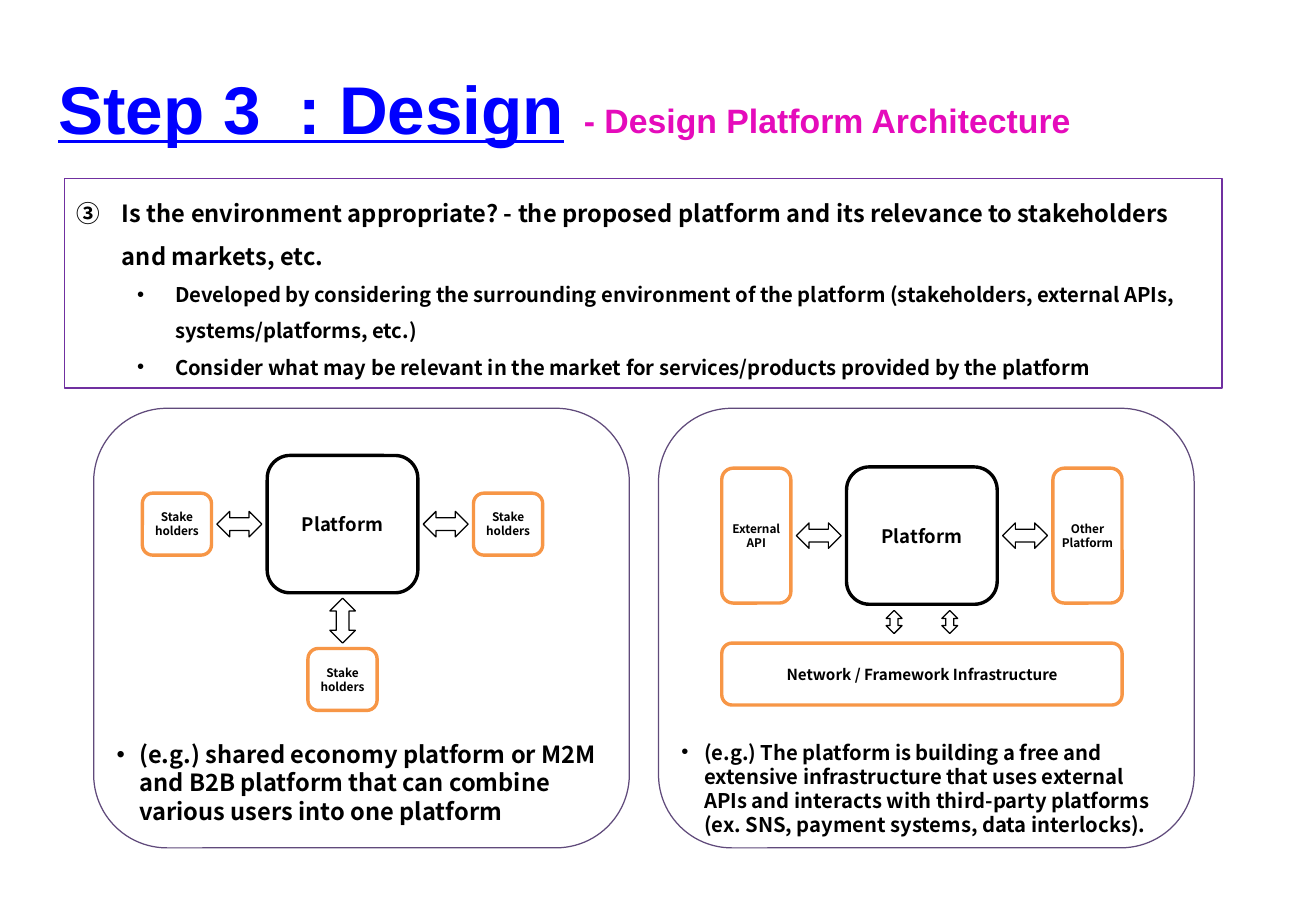
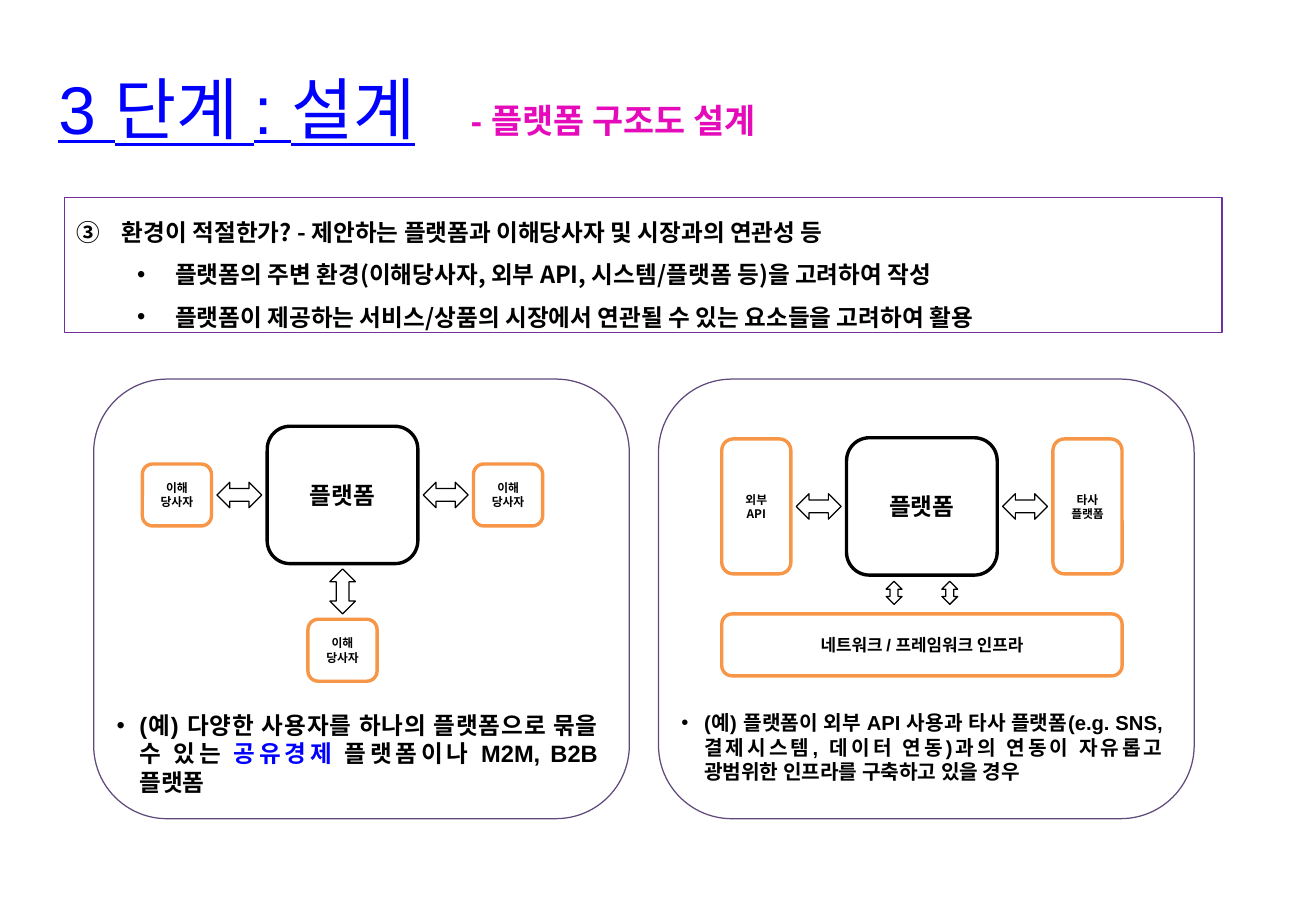
from lxml import etree
from pptx import Presentation
from pptx.dml.color import RGBColor
from pptx.enum.shapes import MSO_SHAPE
from pptx.enum.text import MSO_ANCHOR, MSO_AUTO_SIZE, PP_ALIGN
from pptx.oxml.ns import qn
from pptx.util import Pt

RECTANGLE, ROUNDED = MSO_SHAPE.RECTANGLE, MSO_SHAPE.ROUNDED_RECTANGLE
DOUBLE_ARROW = MSO_SHAPE.LEFT_RIGHT_ARROW
LEFT, CENTER, JUSTIFY = PP_ALIGN.LEFT, PP_ALIGN.CENTER, PP_ALIGN.JUSTIFY
TOP, MIDDLE = MSO_ANCHOR.TOP, MSO_ANCHOR.MIDDLE

ARIAL, NOTO = "Arial", "Noto Sans CJK KR"
BLACK, WHITE, BLUE, PINK = "000000", "FFFFFF", "0000FF", "E50BBB"
PURPLE, VIOLET, ORANGE = "7030A0", "604A7B", "F79646"

SLIDES = [
    {
        "title": "Step 3  : Design", "title_bold": True,
        "subtitle": "- Design Platform Architecture", "subtitle_left": 339,
        "question": "Is the environment appropriate? - the proposed platform and its "
                    "relevance to stakeholders and markets, etc.",
        "points": [
            "Developed by considering the surrounding environment of the platform "
            "(stakeholders, external APIs, systems/platforms, etc.)",
            "Consider what may be relevant in the market for services/products "
            "provided by the platform",
        ],
        "point_size": 12, "box_top": 106, "box_height": 124, "panel_top": 242,
        "hub": "Platform", "hub_size": 11,
        "stakeholder": ["Stake", "holders"],
        "neighbours": [["External", "API"], ["Other", "Platform"]],
        "network": "Network / Framework Infrastructure",
        "network_size": 9, "font": NOTO, "caption_align": LEFT,
        "captions": [
            [("(e.g.) shared economy platform or M2M and B2B platform that can "
              "combine various users into one platform", BLACK)],
            [("(e.g.) The platform is building a free and extensive infrastructure "
              "that uses external APIs and interacts with third-party platforms "
              "(ex. SNS, payment systems, data interlocks).", BLACK)],
        ],
    },
    {
        "title": "3 단계 : 설계", "title_bold": False,
        "subtitle": "- 플랫폼 구조도 설계", "subtitle_left": 272,
        "question": "환경이 적절한가? - 제안하는 플랫폼과 이해당사자 및 시장과의 연관성 등",
        "points": [
            "플랫폼의 주변 환경(이해당사자, 외부 API, 시스템/플랫폼 등)을 고려하여 작성",
            "플랫폼이 제공하는 서비스/상품의 시장에서 연관될 수 있는 요소들을 고려하여 활용",
        ],
        "point_size": 14, "box_top": 117, "box_height": 80, "panel_top": 224.7,
        "hub": "플랫폼", "hub_size": 14,
        "stakeholder": ["이해", "당사자"],
        "neighbours": [["외부", "API"], ["타사", "플랫폼"]],
        "network": "네트워크 / 프레임워크 인프라",
        "network_size": 10, "font": ARIAL, "caption_align": JUSTIFY,
        "captions": [
            [("(예) 다양한 사용자를 하나의 플랫폼으로 묶을 수 있는 ", BLACK),
             ("공유경제", BLUE), (" 플랫폼이나 M2M, B2B 플랫폼", BLACK)],
            [("(예) 플랫폼이 외부 API 사용과 타사 플랫폼(e.g. SNS, 결제시스템, "
              "데이터 연동)과의 연동이 자유롭고 광범위한 인프라를 구축하고 있을 경우", BLACK)],
        ],
    },
]

PANEL_LEFTS, PANEL_WIDTH, PANEL_HEIGHT = (55.5, 390.3), 317.5, 260.6
CAPTION_INSET, CAPTION_TOP, CAPTION_SIZES = 6.5, 193, (14, 12)
HUB_WIDTH, HUB_HEIGHT = 89.3, 81.4
HUB_OFFSETS = ((102.9, 28), (111.5, 34.8))
NODE_WIDTH, NODE_HEIGHT, TALL_HEIGHT = 41, 36.7, 80
GAP, NETWORK_GAP = 33, 23
ARROW, SMALL_ARROW = (26.6, 15.1), (13.7, 9.4)
SMALL_ARROW_OFFSET = 16.5


def rgb(code):
    return RGBColor.from_string(code)


def add_box(shapes, kind, place, line, width=0.75, fill=None):
    box = shapes.add_shape(kind, *(Pt(length) for length in place))
    box.shadow.inherit = False
    if fill:
        box.fill.solid()
        box.fill.fore_color.rgb = rgb(fill)
    else:
        box.fill.background()
    box.line.color.rgb = rgb(line)
    box.line.width = Pt(width)
    return box


def style(span, size, color=BLACK, font=NOTO, bold=True):
    span.font.size = Pt(size)
    span.font.bold = bold
    span.font.color.rgb = rgb(color)
    span.font.name = font
    east_asian = etree.SubElement(span.font._element, qn("a:ea"))
    east_asian.set("typeface", NOTO)


def add_bullet(para, margin, hang, start=None):
    """Give a hanging bullet, or a circled number if start is set."""
    properties = para._p.get_or_add_pPr()
    properties.set("marL", str(Pt(margin)))
    properties.set("indent", str(-Pt(hang)))
    if start:
        number = etree.SubElement(properties, qn("a:buAutoNum"))
        number.set("type", "circleNumDbPlain")
        number.set("startAt", str(start))
    else:
        etree.SubElement(properties, qn("a:buFont")).set("typeface", ARIAL)
        etree.SubElement(properties, qn("a:buChar")).set("char", "•")


def add_text_box(page, left, top, width, height):
    box = page.shapes.add_textbox(Pt(left), Pt(top), Pt(width), Pt(height))
    box.text_frame.word_wrap = True
    return box.text_frame


def add_node(shapes, place, lines, size, line=ORANGE, font=NOTO):
    frame = add_box(shapes, ROUNDED, place, line, 2, WHITE).text_frame
    frame.margin_left = frame.margin_right = frame.margin_top = frame.margin_bottom = 0
    frame.vertical_anchor = MIDDLE
    frame.text = "\n".join(lines)
    for para in frame.paragraphs:
        para.alignment = CENTER
        style(para.runs[0], size, font=font)


def add_arrow(shapes, center_x, center_y, size, upright=False):
    width, height = size
    place = (center_x - width / 2, center_y - height / 2, width, height)
    arrow = add_box(shapes, DOUBLE_ARROW, place, BLACK)
    arrow.rotation = 90 if upright else 0


def add_hub(shapes, content, left, top, side_labels, side_height):
    """Draw the platform with one node and one arrow on its left and right."""
    middle = top + HUB_HEIGHT / 2
    right = left + HUB_WIDTH
    add_node(shapes, (left, top, HUB_WIDTH, HUB_HEIGHT), [content["hub"]],
             content["hub_size"], BLACK)
    node_lefts = (left - GAP - NODE_WIDTH, right + GAP)
    arrow_centers = (left - GAP / 2, right + GAP / 2)
    for node_left, arrow_center, lines in zip(node_lefts, arrow_centers, side_labels):
        add_node(shapes, (node_left, middle - side_height / 2, NODE_WIDTH, side_height),
                 lines, 7)
        add_arrow(shapes, arrow_center, middle, ARROW)


def add_stakeholder_diagram(shapes, content, left, top):
    label = content["stakeholder"]
    add_hub(shapes, content, left, top, [label, label], NODE_HEIGHT)
    center, bottom = left + HUB_WIDTH / 2, top + HUB_HEIGHT
    add_arrow(shapes, center, bottom + GAP / 2, ARROW, upright=True)
    add_node(shapes, (center - NODE_WIDTH / 2, bottom + GAP, NODE_WIDTH, NODE_HEIGHT),
             label, 7)


def add_network_diagram(shapes, content, left, top):
    add_hub(shapes, content, left, top, content["neighbours"], TALL_HEIGHT)
    center, bottom = left + HUB_WIDTH / 2, top + HUB_HEIGHT
    for offset in (-SMALL_ARROW_OFFSET, SMALL_ARROW_OFFSET):
        add_arrow(shapes, center + offset, bottom + NETWORK_GAP / 2 - 1, SMALL_ARROW,
                  upright=True)
    reach = GAP + NODE_WIDTH
    add_node(shapes, (left - reach, bottom + NETWORK_GAP, HUB_WIDTH + 2 * reach,
                      NODE_HEIGHT),
             [content["network"]], content["network_size"], font=content["font"])


def add_heading(page, content):
    title = page.shapes.title
    title.left, title.top, title.width, title.height = Pt(27.4), Pt(36), Pt(629), Pt(55.4)
    frame = title.text_frame
    frame.text = content["title"]
    frame.vertical_anchor = TOP
    frame.auto_size = MSO_AUTO_SIZE.NONE
    para = frame.paragraphs[0]
    para.alignment = LEFT
    style(para.runs[0], 40, BLUE, ARIAL, content["title_bold"])
    para.runs[0].font.underline = True

    para = add_text_box(page, content["subtitle_left"], 55.4, 311, 31.7).paragraphs[0]
    para.text = content["subtitle"]
    style(para.runs[0], 20, PINK, ARIAL)


def add_question_box(page, content):
    place = (38.2, content["box_top"], 686.2, content["box_height"])
    frame = add_box(page.shapes, RECTANGLE, place, PURPLE).text_frame
    frame.word_wrap = True
    frame.vertical_anchor = TOP
    frame.text = "\n".join([content["question"], *content["points"]])
    for index, para in enumerate(frame.paragraphs):
        para.alignment = LEFT
        para.line_spacing = 1.5
        if index == 0:
            add_bullet(para, 27, 27, start=3)
        else:
            add_bullet(para, 58.5, 22.5)
        style(para.runs[0], content["point_size"] if index else 14)


def add_caption(page, content, index, left, top):
    frame = add_text_box(page, left, top, 299.5, 62)
    para = frame.paragraphs[0]
    para.alignment = content["caption_align"]
    add_bullet(para, 13.5, 13.5)
    for text, color in content["captions"][index]:
        span = para.add_run()
        span.text = text
        style(span, CAPTION_SIZES[index], color, content["font"])


def build_slide(deck, content):
    page = deck.slides.add_slide(deck.slide_layouts[5])
    add_heading(page, content)
    add_question_box(page, content)
    top = content["panel_top"]
    diagrams = (add_stakeholder_diagram, add_network_diagram)
    for index, (left, add_diagram) in enumerate(zip(PANEL_LEFTS, diagrams)):
        add_box(page.shapes, ROUNDED, (left, top, PANEL_WIDTH, PANEL_HEIGHT), VIOLET)
        hub_x, hub_y = HUB_OFFSETS[index]
        group = page.shapes.add_group_shape()
        add_diagram(group.shapes, content, left + hub_x, top + hub_y)
        add_caption(page, content, index, left + CAPTION_INSET, top + CAPTION_TOP)


def main():
    deck = Presentation()
    deck.slide_width, deck.slide_height = Pt(780), Pt(540)
    for content in SLIDES:
        build_slide(deck, content)
    deck.save("out.pptx")


if __name__ == "__main__":
    main()
